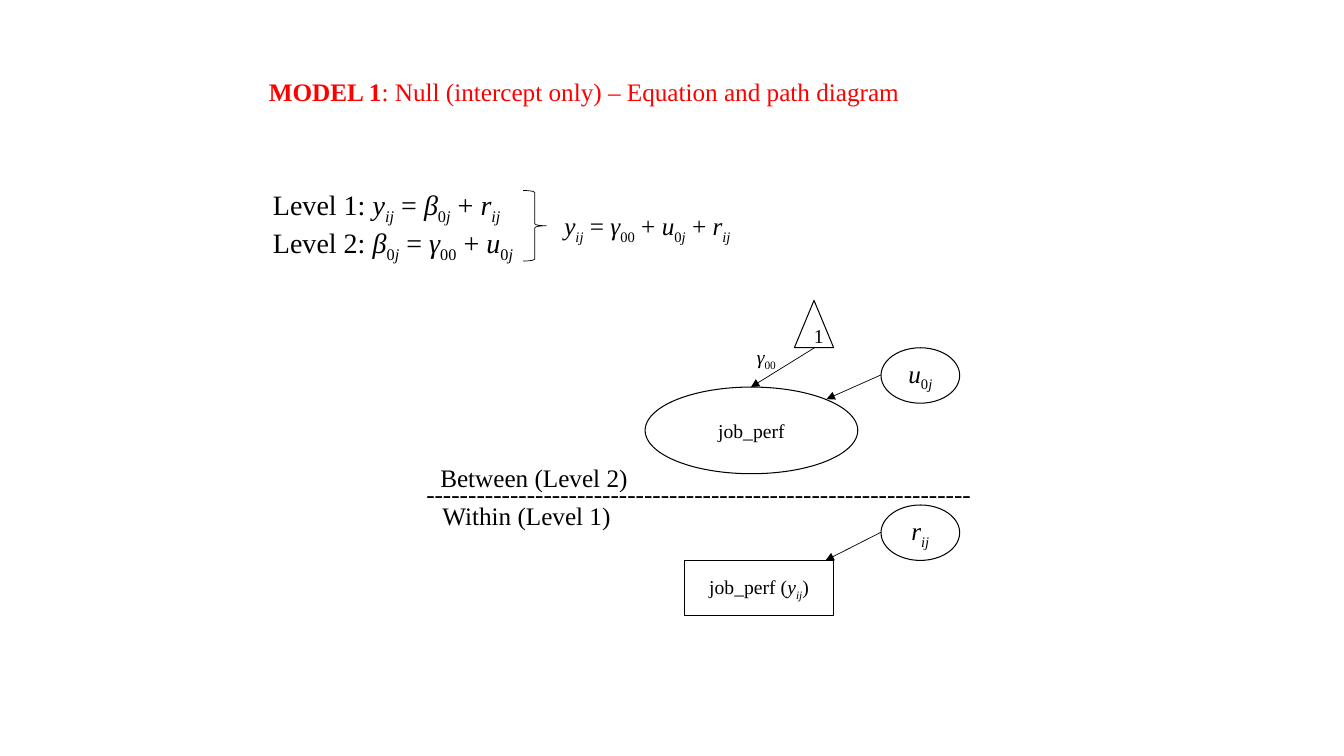
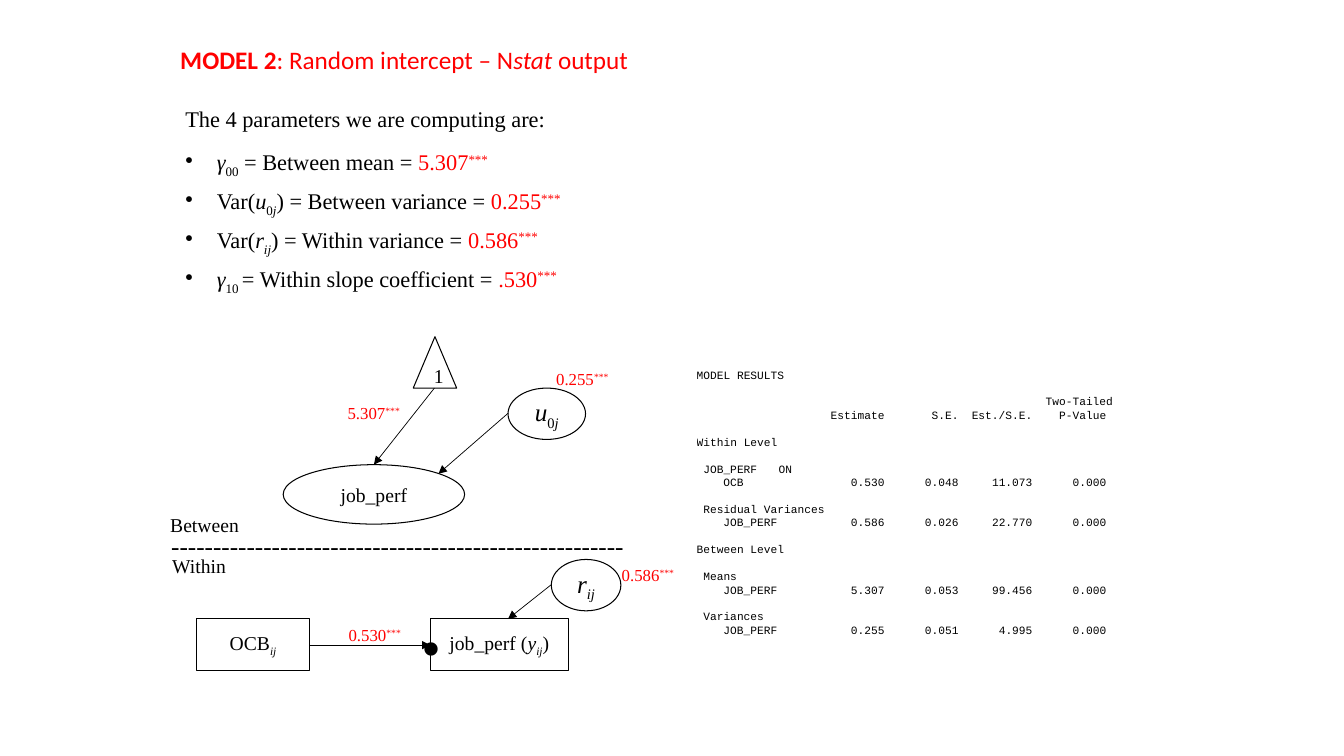
"""Builds two slides on multilevel models: equations, path diagrams and estimates."""
from dataclasses import dataclass

from lxml import etree
from pptx import Presentation
from pptx import util as u
from pptx.dml.color import RGBColor
from pptx.enum import shapes, text
from pptx.oxml.ns import qn


@dataclass(frozen=True)
class Theme:
    ink: RGBColor = RGBColor(0, 0, 0)
    accent: RGBColor = RGBColor(255, 0, 0)
    serif: str = "Times New Roman"
    sans: str = "Calibri"
    mono: str = "Courier New"
    dot: float = 80
    equation: float = 20
    heading: float = 18
    body: float = 16
    label: float = 14
    estimate: float = 12
    output: float = 8
    outline: float = 0.75
    thin: float = 0.5


theme = Theme()
LEFT, CENTER, RIGHT = text.PP_ALIGN.LEFT, text.PP_ALIGN.CENTER, text.PP_ALIGN.RIGHT
SHAPE = shapes.MSO_SHAPE
MARKS = {"#": "bold", "~": "italic", "↓": "sub", "↑": "super", "¦": "accent"}
BASELINES = {"sub": "-25000", "super": "30000"}


def write(frame, content, size=theme.label, color=theme.ink, font=theme.serif,
          align=LEFT, after=0):
    """Write lines; marks switch run formats and a leading • makes a bullet."""
    for number, line in enumerate(content.split("\n")):
        paragraph = frame.add_paragraph() if number else frame.paragraphs[0]
        paragraph.alignment = align
        bulleted = line.startswith("•")
        paragraph.space_after = u.Pt(6 if bulleted else after)
        if bulleted:
            line = line[1:]
            properties = paragraph._p.get_or_add_pPr()
            properties.set("marL", str(u.Pt(22.5)))
            properties.set("indent", str(u.Pt(-22.5)))
            etree.SubElement(properties, qn("a:buChar")).set("char", "•")
        active, pending = set(), ""
        for letter in line + "\0":
            if letter not in MARKS and letter != "\0":
                pending += letter
                continue
            if pending:
                run = paragraph.add_run()
                run.text, pending = pending, ""
                run.font.name, run.font.size = font, u.Pt(size)
                run.font.bold = "bold" in active
                run.font.italic = "italic" in active
                run.font.color.rgb = theme.accent if "accent" in active else color
                for shift in active & BASELINES.keys():
                    run._r.get_or_add_rPr().set("baseline", BASELINES[shift])
            if letter in MARKS:
                active ^= {MARKS[letter]}


Y, R, U = "~y↓ij↓~", "~r↓ij↓~", "~u~↓0~j~↓"
BETA, GAMMA = "~β~↓0~j~↓", "~γ~↓00↓"
OUTCOME = f"job_perf ({Y})"
STARS = "↑***↑"

heading = dict(size=theme.heading)
title = dict(size=theme.heading, color=theme.accent)
estimate = dict(size=theme.estimate, color=theme.accent)

null_model = dict(
    nodes=[
        (SHAPE.RECTANGLE, (488.9, 400.3, 106.6, 39.6), OUTCOME, theme.label),
        (SHAPE.OVAL, (629.3, 360.7, 56.2, 39.6), R, theme.heading),
        (SHAPE.OVAL, (629.3, 248.4, 56.2, 39.6), U, theme.heading),
        (SHAPE.OVAL, (460.8, 276.5, 151.9, 61.9), "job_perf", theme.label),
        (SHAPE.ISOSCELES_TRIANGLE, (567.4, 214.6, 28.1, 33.8), "1", theme.label),
        (SHAPE.RIGHT_BRACE, (373.7, 136.1, 16.6, 50.4), "", theme.label),
    ],
    arrows=[
        (629.3, 380.2, 589.7, 400.3),
        (629.3, 267.8, 590.4, 285.1),
        (581.8, 248.4, 536.4, 276.5),
    ],
    texts=[
        ((185, 51.1, 469.4, 28.8), False, title,
         "#MODEL 1#: Null (intercept only) – Equation and path diagram"),
        ((187.9, 130.3, 268.6, 112.3), True, dict(size=theme.equation),
         f"Level 1: {Y} = {BETA} + {R}\nLevel 2: {BETA} = {GAMMA} + {U}"),
        ((396, 146.9, 139.7, 28.8), False, heading, f"{Y} = {GAMMA} + {U} + {R}"),
        ((297.4, 338.4, 408.2, 28.8), False, heading, "-" * 65),
        ((307.4, 326.9, 149.8, 28.8), False, heading, "Between (Level 2)"),
        ((308.9, 354.2, 136.1, 28.8), False, heading, "Within (Level 1)"),
        ((533.5, 242.6, 29.5, 24.5), False, {}, GAMMA),
    ],
)

intercept_model = dict(
    nodes=[
        (SHAPE.RECTANGLE, (307.4, 442.1, 98.6, 36.7), OUTCOME, theme.label),
        (SHAPE.RECTANGLE, (140.4, 442.1, 80.6, 36.7), "OCB~↓ij↓~", theme.label),
        (SHAPE.OVAL, (393.8, 399.6, 49.7, 36.7), R, theme.heading),
        (SHAPE.OVAL, (362.9, 277.2, 55.4, 36.7), U, theme.heading),
        (SHAPE.OVAL, (202.3, 331.9, 129.6, 42.5), "job_perf", theme.label),
        (SHAPE.ISOSCELES_TRIANGLE, (295.2, 240.5, 31, 36.7), "1", theme.label),
    ],
    arrows=[
        (393.8, 417.6, 362.9, 442.1),
        (362.9, 295.2, 313.2, 338.4),
        (310.3, 277.2, 267.1, 331.9),
        (221, 460.8, 307.4, 460.8),
    ],
    texts=[
        ((121.7, 28.1, 343.4, 28.8), False, dict(title, font=theme.sans),
         "#MODEL 2#: Random intercept – N~stat ~output"),
        ((125.3, 71.3, 304.6, 134.6), True, dict(size=theme.body, after=12),
         "The 4 parameters we are computing are:\n"
         f"•{GAMMA} = Between mean = ¦5.307{STARS}\n"
         f"•Var({U}) = Between variance = ¦0.255{STARS}\n"
         f"•Var({R}) = Within variance = ¦0.586{STARS}\n"
         f"•~γ~↓10 ↓= Within slope coefficient = ¦.530{STARS}"),
        ((115.2, 375.1, 342, 28.8), False, heading, "-" * 54),
        ((114.5, 362.9, 66.2, 24.5), False, {}, "Between"),
        ((115.9, 392.4, 54.7, 24.5), False, {}, "Within"),
        ((390.2, 259.9, 54, 21.6), False, estimate, f"0.255{STARS}"),
        ((241.2, 284.4, 54.7, 21.6), False, estimate, f"5.307{STARS}"),
        ((437, 399.6, 54, 21.6), False, estimate, f"0.586{STARS}"),
        ((290.9, 383.8, 38.2, 104.4), True, dict(size=theme.dot), "."),
        ((241.9, 442.8, 54, 21.6), False, estimate, f"0.530{STARS}"),
    ],
)

deck = Presentation()
deck.slide_width, deck.slide_height = u.Pt(960), u.Pt(540)

for model in (null_model, intercept_model):
    slide = deck.slides.add_slide(deck.slide_layouts[6])
    for preset, box, content, size in model["nodes"]:
        node = slide.shapes.add_shape(preset, *map(u.Pt, box))
        node.shadow.inherit = False
        node.fill.background()
        node.line.color.rgb = theme.ink
        node.line.width = u.Pt(theme.outline if content else theme.thin)
        node.text_frame.vertical_anchor = text.MSO_ANCHOR.MIDDLE
        if content:
            write(node.text_frame, content, size=size, align=CENTER)
    for ends in model["arrows"]:
        arrow = slide.shapes.add_connector(shapes.MSO_CONNECTOR.STRAIGHT, *map(u.Pt, ends))
        arrow.line.color.rgb = theme.ink
        arrow.line.width = u.Pt(theme.thin)
        etree.SubElement(arrow.line._get_or_add_ln(), qn("a:tailEnd")).set("type", "triangle")
        etree.SubElement(arrow._element.spPr, qn("a:effectLst"))
    for box, wraps, style, content in model["texts"]:
        frame = slide.shapes.add_textbox(*map(u.Pt, box)).text_frame
        frame.word_wrap = wraps
        frame.auto_size = text.MSO_AUTO_SIZE.SHAPE_TO_FIT_TEXT
        write(frame, content, **style)

LETTER, LINE = 4.8, 9.6
column_ends = [12.2, 28, 39, 50, 62]
results = [
    (1, 0, ["MODEL RESULTS"]),
    (2, 0, ["", "", "", "", "Two-Tailed"]),
    (1, 0, ["", "Estimate", "S.E.", "Est./S.E.", "P-Value"]),
    (2, 0, ["Within Level"]),
    (2, 1, ["JOB_PERF", "ON"]),
    (1, 4, ["OCB", "0.530", "0.048", "11.073", "0.000"]),
    (2, 1, ["Residual Variances"]),
    (1, 4, ["JOB_PERF", "0.586", "0.026", "22.770", "0.000"]),
    (2, 0, ["Between Level"]),
    (2, 1, ["Means"]),
    (1, 4, ["JOB_PERF", "5.307", "0.053", "99.456", "0.000"]),
    (2, 1, ["Variances"]),
    (1, 4, ["JOB_PERF", "0.255", "0.051", "4.995", "0.000"]),
]
total_lines = sum(lines for lines, _, _ in results)
output = slide.shapes.add_table(
    len(results), len(column_ends), u.Pt(497.6), u.Pt(263.6),
    u.Pt(column_ends[-1] * LETTER), u.Pt(total_lines * LINE)).table
output.first_row = output.horz_banding = False
for column, start, end in zip(output.columns, [0] + column_ends, column_ends):
    column.width = u.Pt((end - start) * LETTER)

for row, (lines, indent, entries) in enumerate(results):
    output.rows[row].height = u.Pt(lines * LINE)
    if len(entries) == 1:
        output.cell(row, 0).merge(output.cell(row, 1))
    for place in range(len(column_ends)):
        entry = entries[place] if place < len(entries) else ""
        cell = output.cell(row, place)
        cell.fill.background()
        cell.vertical_anchor = text.MSO_ANCHOR.BOTTOM
        cell.margin_left = u.Pt(0 if place else indent * LETTER)
        cell.margin_right = u.Pt(LETTER if place == 4 and entry != "Two-Tailed" else 0)
        cell.margin_top = cell.margin_bottom = 0
        if entry:
            write(cell.text_frame, entry, size=theme.output, font=theme.mono,
                  align=LEFT if place == 0 or entry == "ON" else RIGHT)
        else:
            cell.text_frame.paragraphs[0].font.size = u.Pt(theme.output)

deck.save("out.pptx")
